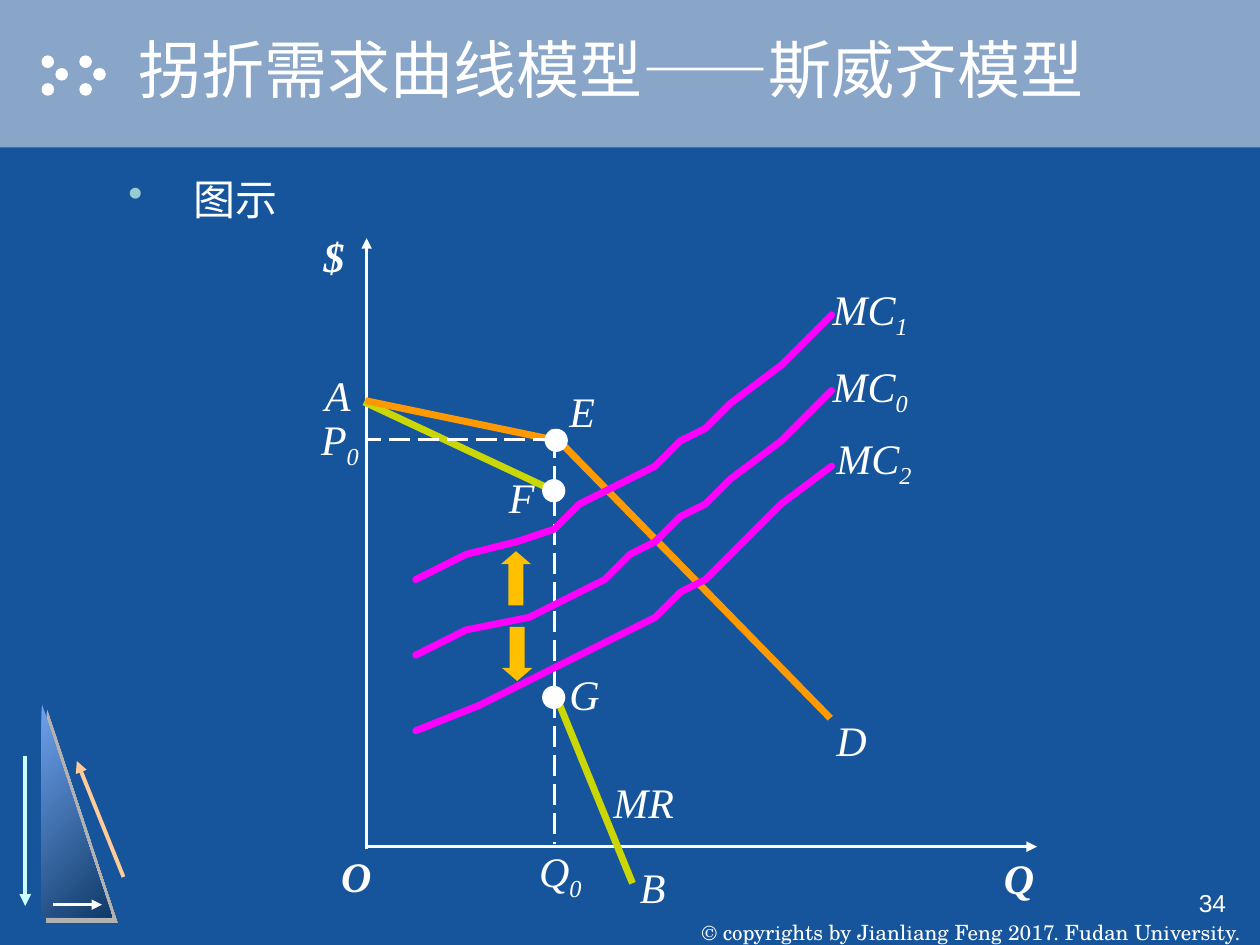
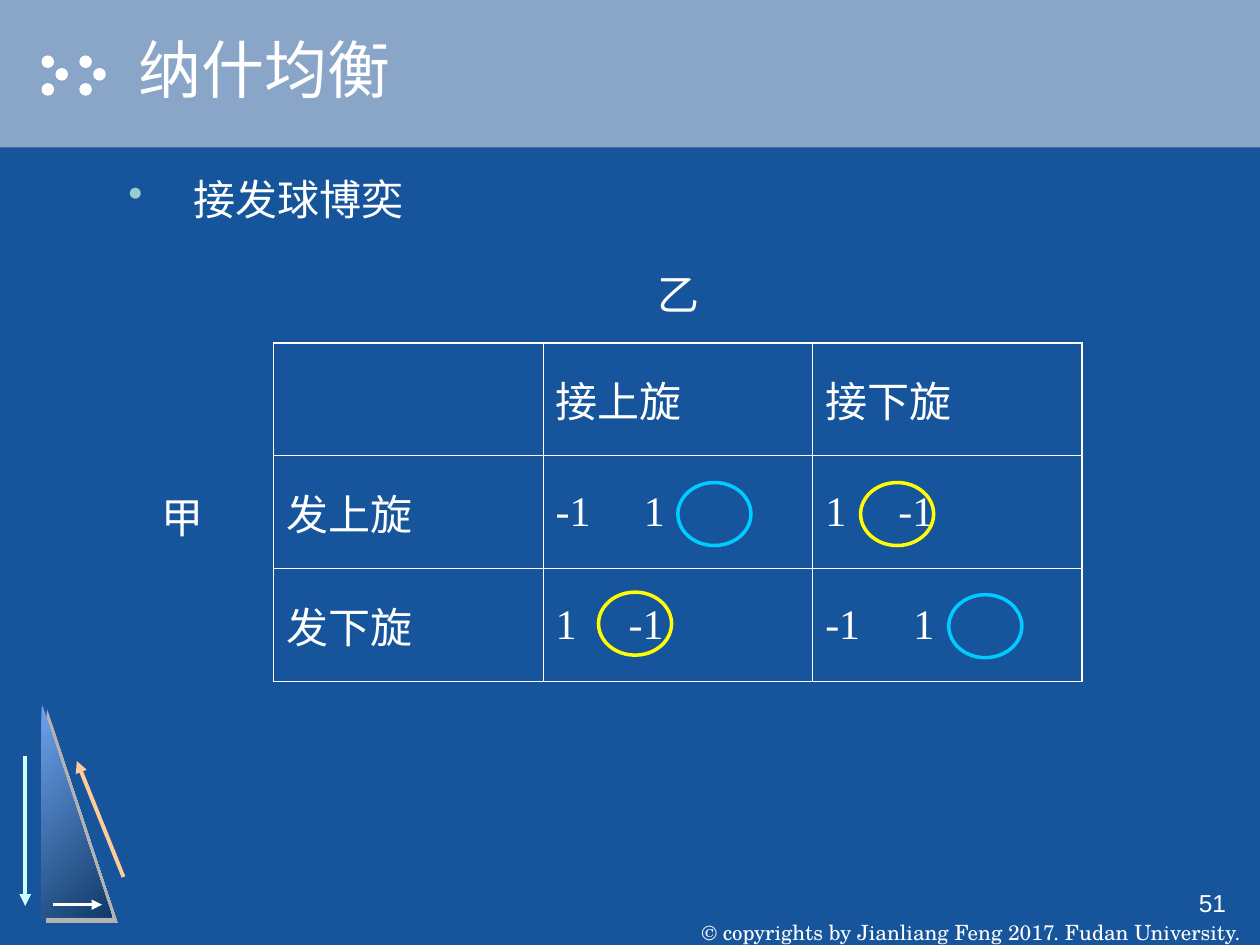
"""Build two lecture slides: the kinked demand curve and a serve-and-return game."""
from lxml.etree import SubElement
from pptx import Presentation
from pptx.dml.color import RGBColor
from pptx.enum.dml import MSO_LINE
from pptx.enum.shapes import MSO_CONNECTOR, MSO_SHAPE
from pptx.enum.text import MSO_ANCHOR, MSO_AUTO_SIZE, PP_ALIGN
from pptx.oxml.ns import qn
from pptx.util import Inches, Pt

HUE = {
    "back": "16559B", "band": "89A5C7", "white": "FFFFFF", "shade": "B2B2B2",
    "light": "6FA2ED", "dark": "0F3A68", "aqua": "CCFFFF", "peach": "FFCC99",
    "mint": "99CCCC", "lime": "CAD704", "orange": "FF9900", "pink": "FF00FF",
    "gold": "FFC000", "yellow": "FFFF00", "cyan": "00CCFF", "black": "000000",
}
RGB = {name: RGBColor.from_string(code) for name, code in HUE.items()}
SERIF = "Times New Roman"

deck = Presentation()
deck.slide_width, deck.slide_height = Inches(10), Inches(7.5)
CELL = deck.slide_width // 100


def put(slide, box, kind=None, fill=None, edge=None, weight=1, text="", size=24,
        face=SERIF, align=PP_ALIGN.LEFT, anchor=MSO_ANCHOR.TOP, grow=False):
    """Place a preset shape, or a text box when no kind is given, on the grid."""
    area = [int(CELL * part) for part in box]
    if kind is not None:
        shape = slide.shapes.add_shape(kind, *area)
        shape.shadow.inherit = False
        for part, hue in ((shape.fill, fill), (shape.line.fill, edge)):
            if hue:
                part.solid()
                part.fore_color.rgb = RGB[hue]
            else:
                part.background()
        if edge:
            shape.line.width = Pt(weight)
        return shape
    shape = slide.shapes.add_textbox(*area)
    frame = shape.text_frame
    frame.auto_size = MSO_AUTO_SIZE.SHAPE_TO_FIT_TEXT if grow else MSO_AUTO_SIZE.NONE
    frame.word_wrap = not grow
    frame.vertical_anchor = anchor
    para = frame.paragraphs[0]
    base, _, sub = text.partition("_")
    para.add_run().text = base
    if sub:
        run = para.add_run()
        run.text = sub
        run._r.get_or_add_rPr().set("baseline", "-25000")
    para.alignment = align
    para.font.size, para.font.name = Pt(size), face
    para.font.color.rgb = RGB["white"]
    return shape


def rule(slide, ends, hue, weight, arrow=False, dash=False):
    """Draw a straight line between two grid points."""
    link = slide.shapes.add_connector(
        MSO_CONNECTOR.STRAIGHT, *[int(CELL * part) for part in ends])
    link.line.color.rgb, link.line.width = RGB[hue], Pt(weight)
    if dash:
        link.line.dash_style = MSO_LINE.LONG_DASH
    if arrow:
        SubElement(link.line._get_or_add_ln(), qn("a:tailEnd"), type="triangle")
    SubElement(link._element.spPr, qn("a:effectLst"))


pages = []
for title, point, number in (("拐折需求曲线模型——斯威齐模型", "图示", "34"),
                             ("纳什均衡", "接发球博奕", "51")):
    slide = deck.slides.add_slide(deck.slide_layouts[6])
    pages.append(slide)
    slide.background.fill.solid()
    slide.background.fill.fore_color.rgb = RGB["back"]
    put(slide, (0, 0, 100, 11.7), MSO_SHAPE.RECTANGLE, "band")
    for left in (3.3, 6.3):
        for dx, top in ((0, 4.4), (1.1, 5.4), (0, 6.6)):
            put(slide, (left + dx, top, 1, 1), MSO_SHAPE.OVAL, "white")

    wedge = put(slide, (3.3, 55.8, 5.6, 17), MSO_SHAPE.RIGHT_TRIANGLE)
    wedge.fill.gradient()
    wedge.fill.gradient_angle = 315
    for stop, hue in zip(wedge.fill.gradient_stops, ("light", "dark")):
        stop.color.rgb = RGB[hue]
    glow = SubElement(wedge._element.spPr.find(qn("a:effectLst")), qn("a:outerShdw"),
                      dist=str(Pt(4.2)), dir="2700000", algn="ctr", rotWithShape="0")
    SubElement(glow, qn("a:srgbClr"), val=HUE["shade"])
    for ends, hue, weight in (((2, 60, 2, 71.9), "aqua", 2.25),
                              ((9.8, 69.6, 6.1, 60.4), "peach", 2.25),
                              ((4.2, 71.8, 8.1, 71.8), "white", 1.5)):
        rule(slide, ends, hue, weight, arrow=True)

    foot = put(slide, (54.2, 70, 45.8, 5), size=12, face="TeX Gyre Schola",
               text="© copyrights by Jianliang Feng 2017. Fudan University.",
               align=PP_ALIGN.CENTER, anchor=MSO_ANCHOR.BOTTOM)
    foot.text_frame.margin_top = foot.text_frame.margin_bottom = 0
    put(slide, (77.5, 70, 20.8, 5), text=number, size=14, face="Arial",
        align=PP_ALIGN.RIGHT)
    head = put(slide, (10, 0, 90, 10.8), text=title, size=36, face="Arial",
               anchor=MSO_ANCHOR.MIDDLE)
    props = head.text_frame.paragraphs[0].runs[0]._r.get_or_add_rPr()
    glow = SubElement(SubElement(props, qn("a:effectLst")), qn("a:outerShdw"),
                      dist=str(Pt(2)), dir="2700000")
    SubElement(glow, qn("a:srgbClr"), val=HUE["black"])

    body = put(slide, (9.2, 13.3, 81.7, 50), text=point)
    props = body.text_frame.paragraphs[0]._p.get_or_add_pPr()
    props.set("marL", str(Inches(0.52)))
    props.set("indent", str(-Inches(0.52)))
    dot = props.makeelement(qn("a:buClr"))
    SubElement(dot, qn("a:srgbClr"), val=HUE["mint"])
    props.insert(0, dot)
    props.insert(1, props.makeelement(qn("a:buChar"), {"char": "•"}))

graph, game = pages

for ends in ((29.1, 67.4, 29.1, 18.9), (29, 67.2, 82.3, 67.2)):
    rule(graph, ends, "white", 2, arrow=True)
for ends, hue in (((28.9, 31.9, 44.7, 39.3), "lime"), ((44.4, 55.9, 50.2, 70.1), "lime"),
                  ((29, 31.8, 44.4, 35), "orange"), ((43.6, 34.2, 65.9, 57), "orange")):
    rule(graph, ends, hue, 4)
for ends in ((44, 34.7, 44, 67), (44, 34.9, 29.1, 34.9)):
    rule(graph, ends, "white", 1.5, dash=True)
for left, top in ((43.1, 38.1), (43.1, 54.5), (43.3, 34.1)):
    put(graph, (left, top, 1.7, 1.7), MSO_SHAPE.OVAL, "white", "white")
for kind, left, top in ((MSO_SHAPE.UP_ARROW, 39.75, 43.75),
                        (MSO_SHAPE.DOWN_ARROW, 39.85, 49.75)):
    arrow = put(graph, (left, top, 2.4, 4.3), kind, "gold")
    arrow.adjustments[0], arrow.adjustments[1] = 0.5, 0.43

STEPS = ((4.3, -1.6), (8.5, -3.3), (10.6, -4.4), (12.6, -5.4), (14.7, -6.5),
         (16.7, -7.7), (18.8, -9.1), (20.8, -10.6), (22.8, -12.1), (24.8, -13.8),
         (28.9, -17.3), (32.6, -20.9))
for left, top in ((33.2, 57.7), (33, 52), (32.9, 45.9)):
    pen = graph.shapes.build_freeform(left, top, scale=CELL)
    pen.add_line_segments([(left + dx, top + dy) for dx, dy in STEPS], close=False)
    curve = pen.convert_to_shape()
    curve.shadow.inherit = False
    curve.fill.background()
    curve.line.color.rgb, curve.line.width = RGB["pink"], Pt(4)
    curve.line._get_or_add_ln().set("cap", "rnd")

for text, left, top, width, bold in (
        ("$", 24.7, 17.8, 3.6, True), ("Q", 78.7, 67.2, 4.4, True),
        ("O", 26.1, 67, 4.4, True), ("MR", 47.7, 61.1, 6.8, False),
        ("F", 39.4, 36.9, 4, False), ("G", 44.2, 52.6, 4.4, False),
        ("B", 49.8, 67.9, 4, False), ("D", 65.4, 56.2, 4.4, False),
        ("Q_0", 41.8, 66.6, 5.4, False), ("P_0", 24.5, 32.3, 5, False),
        ("E", 44.2, 30.1, 4, False), ("A", 24.8, 28.8, 4, False),
        ("MC_2", 65.4, 33.8, 8, False), ("MC_0", 65.1, 28.1, 8, False),
        ("MC_1", 65.1, 22, 8, False)):
    label = put(graph, (left, top, width, 5.5 if "_" in text else 5), text=text, grow=True)
    font = label.text_frame.paragraphs[0].font
    font.italic, font.bold = True, bold

ROWS = (("", "接上旋", "接下旋"),
        ("发上旋", "-1\t1", "1\t-1"),
        ("发下旋", "1\t-1", "-1\t1"))
grid = game.shapes.add_table(
    3, 3, *[int(CELL * part) for part in (21.7, 27.2, 64.2, 26.9)]).table
grid.first_row = grid.horz_banding = False
for r, row in enumerate(ROWS):
    for c, text in enumerate(row):
        cell = grid.cell(r, c)
        cell.fill.background()
        cell.vertical_anchor = MSO_ANCHOR.MIDDLE
        props = cell._tc.get_or_add_tcPr()
        for i, (side, outer) in enumerate(
                (("L", c == 0), ("R", c == 2), ("T", r == 0), ("B", r == 2))):
            edge = props.makeelement(
                qn(f"a:ln{side}"), {"w": str(Pt(1.08 if outer else 0.45))})
            SubElement(SubElement(edge, qn("a:solidFill")), qn("a:srgbClr"),
                       val=HUE["white"])
            props.insert(i, edge)
        para = cell.text_frame.paragraphs[0]
        para.text = text
        if "\t" in text:
            tabs = SubElement(para._p.get_or_add_pPr(), qn("a:tabLst"))
            gap = Inches(0.7 if text.startswith("-") else 0.58)
            SubElement(tabs, qn("a:tab"), pos=str(gap), algn="l")
        para.font.size, para.font.name = Pt(24), SERIF
        para.font.color.rgb = RGB["white"]

for text, left, top in (("甲", 8.6, 37.7), ("乙", 48, 20)):
    side = put(game, (left, top, 11.7, 5.8), text=text, align=PP_ALIGN.CENTER)
    side.text_frame.paragraphs[0].line_spacing = 1.2
for left, top, hue in ((47.5, 47, "yellow"), (68.3, 38.3, "yellow"),
                       (53.8, 38.3, "cyan"), (75.3, 47.2, "cyan")):
    put(game, (left, top, 5.8, 5), MSO_SHAPE.OVAL, edge=hue, weight=2)

deck.save("out.pptx")
